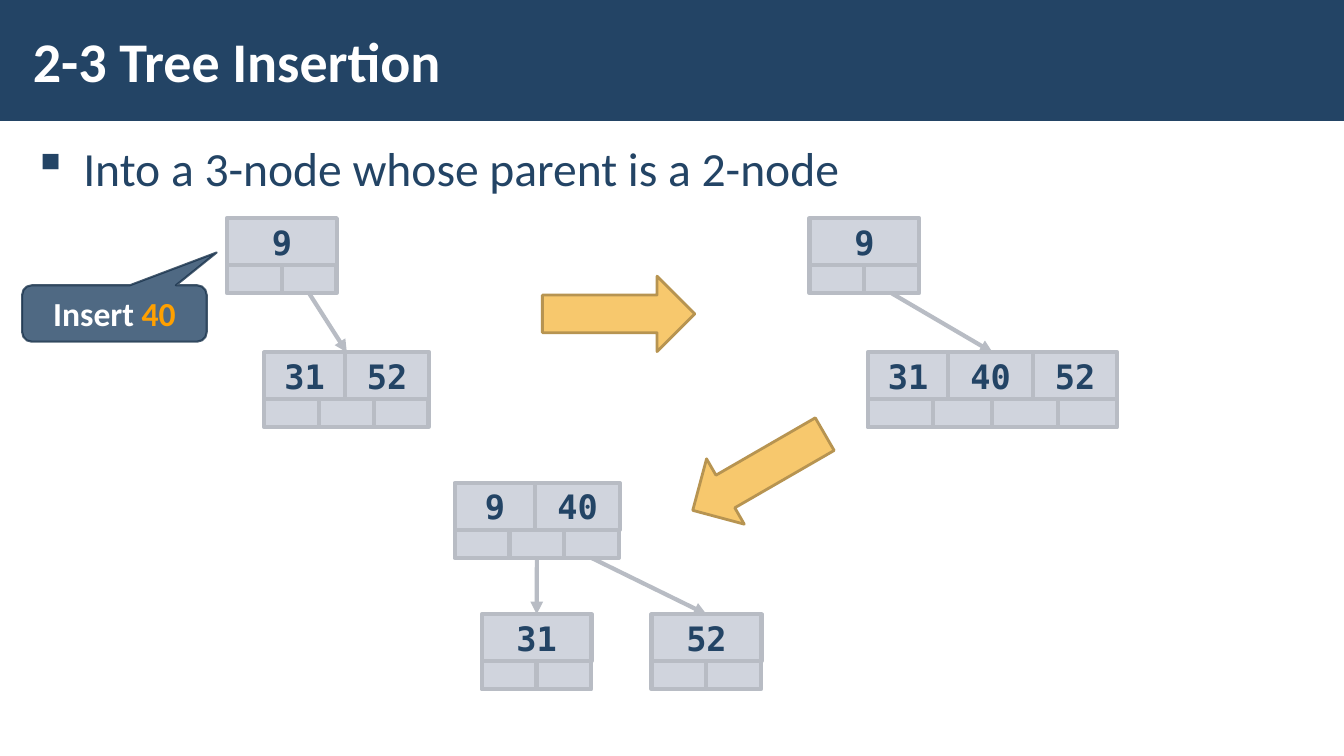
from collections import namedtuple

from pptx import Presentation
from pptx.dml.color import RGBColor
from pptx.enum.shapes import MSO_CONNECTOR as Connector, MSO_SHAPE as Shape
from pptx.enum.text import MSO_ANCHOR as Anchor, PP_ALIGN as Align
from pptx.oxml.ns import qn
from pptx.util import Cm, Pt
from lxml.etree import SubElement

NAVY = RGBColor(0x23, 0x44, 0x65)
NAVY_EDGE = RGBColor(0x1A, 0x33, 0x4C)
WHITE = RGBColor(0xFF, 0xFF, 0xFF)
ORANGE = RGBColor(0xFF, 0xA0, 0x00)
CELL_FILL = RGBColor(0xA3, 0xAB, 0xBC)
CELL_EDGE = RGBColor(0xB8, 0xBC, 0xC4)
ARROW_FILL = RGBColor(0xF7, 0xC8, 0x6D)
ARROW_EDGE = RGBColor(0xB7, 0x94, 0x51)

BODY_FONT = "Calibri"
KEY_FONT = "DejaVu Sans Mono"

# Cell sizes in cm, by the number of keys in a node
KEY_HEIGHT, POINTER_HEIGHT = 1.18, 0.71
KEY_WIDTHS = {1: [2.77], 2: [2.03, 2.13], 3: [2.03, 2.13, 2.13]}
POINTER_WIDTHS = {1: [1.38] * 2, 2: [1.38] * 3, 3: [1.65, 1.49] * 2}

# Boxes and points are in cm
Box = namedtuple("Box", "left top width height")
Node = namedtuple("Node", "entry exits")


def add_run(paragraph, text, size, color, font=BODY_FONT, bold=True):
    run = paragraph.add_run()
    run.text = text
    run.font.size = Pt(size)
    run.font.name = font
    run.font.bold = bold
    run.font.color.rgb = color


def add_block(slide, kind, box, fill, edge=None, weight=0, fill_opacity=100):
    block = slide.shapes.add_shape(kind, *map(Cm, box))
    block.shadow.inherit = False
    block.fill.solid()
    block.fill.fore_color.rgb = fill
    if fill_opacity < 100:
        set_opacity(block, fill_opacity)
    if edge is None:
        block.line.fill.background()
    else:
        block.line.color.rgb = edge
        block.line.width = Pt(weight)
    return block


def set_opacity(block, percent):
    """Apply the opacity to every colour the block has so far."""
    for color in block._element.spPr.iter(qn("a:srgbClr")):
        SubElement(color, qn("a:alpha")).set("val", str(percent * 1000))


def add_text_area(slide, box, anchor):
    frame = slide.shapes.add_textbox(*map(Cm, box)).text_frame
    frame.word_wrap = True
    frame.vertical_anchor = anchor
    frame.margin_left = frame.margin_right = Cm(0.3)
    frame.margin_top = frame.margin_bottom = Cm(0.1)
    return frame.paragraphs[0]


def add_title_band(slide, box, title):
    add_block(slide, Shape.RECTANGLE, box, NAVY)
    title_box = Box(box.left + 0.53, box.top + 0.28, 26.42, box.height - 0.58)
    add_run(add_text_area(slide, title_box, Anchor.MIDDLE), title, 40, WHITE)


def add_bullet(slide, box, text):
    bullet = add_text_area(slide, box, Anchor.TOP)
    props = bullet._p.get_or_add_pPr()
    props.set("marL", str(Cm(1.27)))
    props.set("indent", str(Cm(-1.27)))
    SubElement(props, qn("a:buChar")).set("char", "▪")
    bullet.line_spacing = 1.05
    bullet.space_after = Pt(6)
    add_run(bullet, text, 34, NAVY, bold=False)


def add_cell(slide, box, key=None):
    cell = add_block(slide, Shape.RECTANGLE, box, CELL_FILL, CELL_EDGE, 3, fill_opacity=50)
    if key is not None:
        frame = cell.text_frame
        frame.word_wrap = False
        frame.vertical_anchor = Anchor.MIDDLE
        frame.paragraphs[0].alignment = Align.CENTER
        add_run(frame.paragraphs[0], key, 24, NAVY, KEY_FONT)


def add_node(slide, left, top, *keys):
    """Draw a row of keys over a row of pointers; return its edge points."""
    x = left
    for key, width in zip(keys, KEY_WIDTHS[len(keys)]):
        add_cell(slide, Box(x, top, width, KEY_HEIGHT), key)
        x += width
    entry = ((left + x) / 2, top)

    x, pointer_top = left, top + KEY_HEIGHT
    exits = []
    for width in POINTER_WIDTHS[len(keys)]:
        add_cell(slide, Box(x, pointer_top, width, POINTER_HEIGHT))
        exits.append((x + width / 2, pointer_top + POINTER_HEIGHT))
        x += width
    return Node(entry, exits)


def add_edge(slide, parent, pointer, child):
    ends = map(Cm, parent.exits[pointer] + child.entry)
    edge = slide.shapes.add_connector(Connector.STRAIGHT, *ends)
    edge.line.color.rgb = CELL_EDGE
    edge.line.width = Pt(3)
    SubElement(edge.line._get_or_add_ln(), qn("a:tailEnd")).set("type", "triangle")
    SubElement(edge._element.spPr, qn("a:effectLst"))


def add_step_arrow(slide, box, rotation=0):
    arrow = add_block(slide, Shape.RIGHT_ARROW, box, ARROW_FILL, ARROW_EDGE, 2)
    arrow.rotation = rotation


def add_insert_callout(slide, box, key):
    callout = add_block(slide, Shape.ROUNDED_RECTANGULAR_CALLOUT, box, NAVY, NAVY_EDGE, 1.5)
    set_opacity(callout, 80)
    for index, value in enumerate((0.554, -1.082, 0.167)):
        callout.adjustments[index] = value
    frame = callout.text_frame
    frame.word_wrap = True
    frame.vertical_anchor = Anchor.MIDDLE
    label = frame.paragraphs[0]
    label.alignment = Align.CENTER
    add_run(label, "Insert ", 24, WHITE)
    add_run(label, key, 24, ORANGE)


def add_root_and_child(slide, box, child_indent, root_key, child_keys):
    """Draw a 2-node root whose right pointer leads to a child at the box's foot."""
    root = add_node(slide, box.left, box.top, root_key)
    child_top = box.top + box.height - KEY_HEIGHT - POINTER_HEIGHT
    child = add_node(slide, box.left + child_indent, child_top, *child_keys)
    add_edge(slide, root, 1, child)


def add_split_tree(slide, box):
    """Draw the tree after the middle key has moved up to the parent."""
    parent = add_node(slide, box.left, box.top, "9", "40")
    child_top = box.top + box.height - KEY_HEIGHT - POINTER_HEIGHT
    middle = add_node(slide, box.left + 0.68, child_top, "31")
    right = add_node(slide, box.left + box.width - KEY_WIDTHS[1][0], child_top, "52")
    add_edge(slide, parent, 1, middle)
    add_edge(slide, parent, 2, right)


def main():
    deck = Presentation()
    deck.slide_width, deck.slide_height = Cm(33.87), Cm(19.05)
    slide = deck.slides.add_slide(deck.slide_layouts[6])

    # Heading and statement
    add_title_band(slide, Box(0, 0, 33.87, 3.05), "2-3 Tree Insertion")
    add_bullet(slide, Box(0.53, 3.33, 32.82, 14.45), "Into a 3-node whose parent is a 2-node")

    # Before the insertion
    add_root_and_child(slide, Box(5.72, 5.5, 5.1, 5.27), 0.94, "9", ("31", "52"))
    add_insert_callout(slide, Box(0.56, 7.19, 4.65, 1.42), "40")

    # Overfull child
    add_step_arrow(slide, Box(13.67, 6.96, 3.84, 1.9))
    add_root_and_child(slide, Box(20.4, 5.5, 7.76, 5.27), 1.47, "9", ("31", "40", "52"))

    # After the split
    add_step_arrow(slide, Box(17.2, 10.95, 3.84, 1.9), rotation=150)
    add_split_tree(slide, Box(11.46, 12.17, 7.73, 5.2))

    deck.save("out.pptx")


if __name__ == "__main__":
    main()
